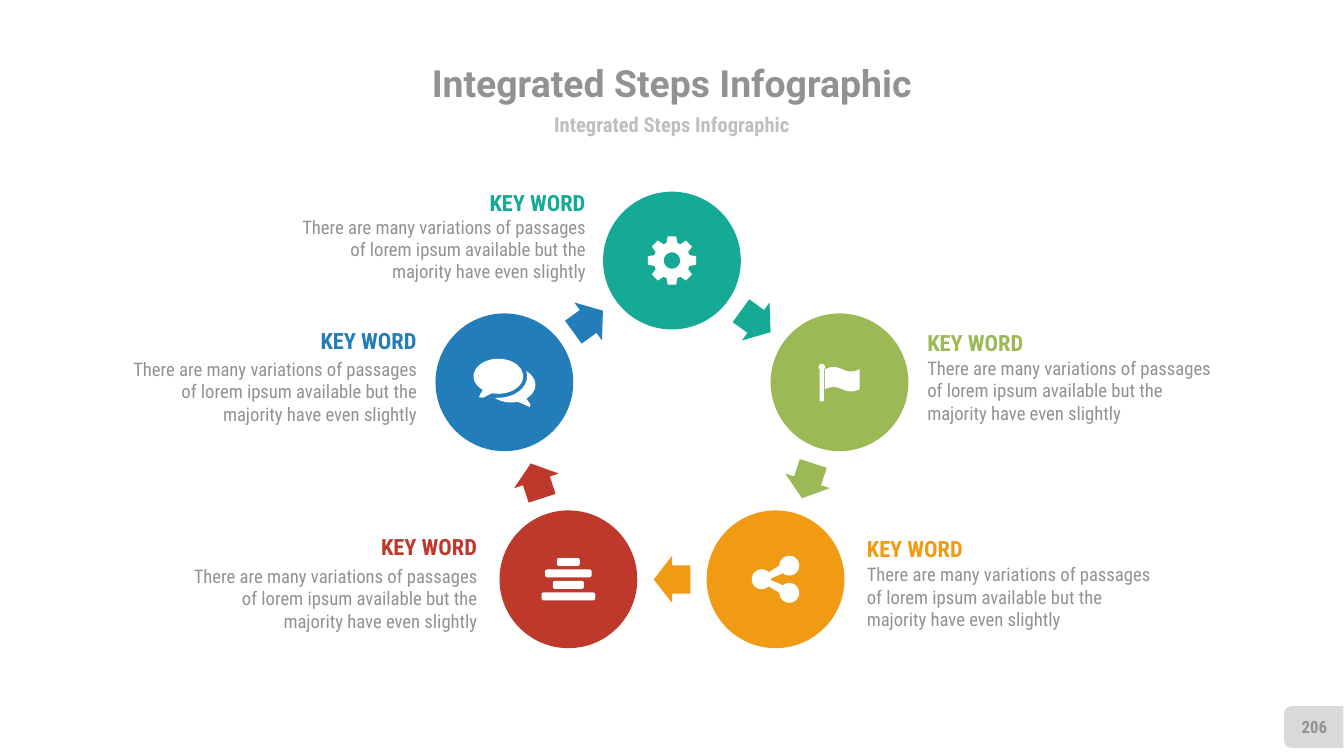
from math import cos, pi, radians, sin

from pptx import Presentation
from pptx.dml.color import RGBColor
from pptx.enum.shapes import MSO_SHAPE as Shape
from pptx.enum.text import MSO_ANCHOR as Anchor, PP_ALIGN as Align
from pptx.util import Pt

GREEN = RGBColor(0x9B, 0xB9, 0x55)
TEAL = RGBColor(0x15, 0xAA, 0x96)
ORANGE = RGBColor(0xF1, 0x9B, 0x14)
RED = RGBColor(0xBE, 0x38, 0x2C)
BLUE = RGBColor(0x23, 0x7D, 0xB9)
WHITE = RGBColor(0xFF, 0xFF, 0xFF)
GREY = RGBColor(0x92, 0x92, 0x92)
LIGHT_GREY = RGBColor(0xBF, 0xBF, 0xBF)
TAB_GREY = RGBColor(0xD9, 0xD9, 0xD9)

CONDENSED = "Roboto Condensed"
TITLE = "Integrated Steps Infographic"
PAGE_NUMBER = "206"
KEY_WORD = "KEY WORD"
BODY = ("There are many variations of passages of lorem ipsum available "
        "but the majority have even slightly")

# Clockwise from the top: colour, icon, text alignment, text edge, heading top, body top
STEPS = [
    (TEAL, "gear", Align.RIGHT, 313.7, 101.5, 115.4),
    (GREEN, "flag", Align.LEFT, 496.8, 176.4, 191),
    (ORANGE, "share", Align.LEFT, 464.4, 286.6, 301.7),
    (RED, "bars", Align.RIGHT, 255.6, 285.8, 302.4),
    (BLUE, "chat", Align.RIGHT, 223.2, 175.5, 191.5),
]

CENTER_X, CENTER_Y, RING_RADIUS = 360, 234, 94.4
CIRCLE = 73.8
ARROW_WIDTH, ARROW_HEIGHT = 19.6, 25.2
HEADING_WIDTH, HEADING_HEIGHT = 66.2, 14.4
BODY_WIDTH, BODY_HEIGHT = 153.4, 36


def arc(x, y, radius_x, radius_y, start, end, steps=36):
    """Points on an ellipse; angles in degrees, clockwise from the right."""
    angles = [radians(start + (end - start) * i / steps) for i in range(steps + 1)]
    return [(x + radius_x * cos(a), y + radius_y * sin(a)) for a in angles]


def gear():
    teeth = []
    for middle in range(0, 360, 45):
        for offset, radius in ((-17, 9.8), (-10, 13.1), (10, 13.1), (17, 9.8)):
            angle = radians(middle + offset)
            teeth.append((radius * cos(angle), radius * sin(angle)))
    return [teeth, arc(0, 0, 4.4, 4.4, 360, 0)]


def flag():
    pole = arc(-9.5, -8.2, 1.7, 1.7, 130, 410) + [(-8.4, 10.2), (-10.6, 10.2)]
    xs = [-7.9 + 18.7 * i / 24 for i in range(25)]
    wave = [1.2 * sin(2 * pi * i / 24) for i in range(25)]
    top = [(x, -7 - y) for x, y in zip(xs, wave)]
    bottom = [(x, 3.7 - y) for x, y in zip(xs, wave)]
    return [pole, top + bottom[::-1]]


def share():
    return [arc(-7.4, 0, 5.3, 5.3, 45, 315)
            + arc(7.4, -7.3, 5.3, 5.3, 180, 490)
            + [(-2.5, -0.4), (-2.5, 0.4)]
            + arc(7.4, 7.3, 5.3, 5.3, 230, 540)]


def bars():
    contours = []
    for row, width in enumerate((12.2, 24.9, 16.6, 28.8)):
        y, corner = -9.3 + 6.15 * row, 1.1
        dx, dy = width / 2 - corner, 2.1 - corner
        corners = [(dx, dy), (-dx, dy), (-dx, -dy), (dx, -dy)]
        contours.append([point for i, (cx, cy) in enumerate(corners)
                         for point in arc(cx, y + cy, corner, corner,
                                          90 * i, 90 * i + 90, 6)])
    return contours


def chat():
    front = arc(-3.2, -3.2, 13.3, 9.4, 129, 465) + [(-11.5, 8.3), (-13.7, 8)]
    back = (arc(3.6, 1.4, 13, 9.4, -53, 51)
            + [(14, 11.9), (13.7, 13.3)]
            + arc(3.6, 1.4, 13, 9.4, 74, 132)
            + arc(-3.2, -3.2, 15.4, 11.5, 90, -15))
    return [front, back]


ICONS = {"gear": gear, "flag": flag, "share": share, "bars": bars, "chat": chat}


def paint(shape, color):
    shape.shadow.inherit = False
    shape.fill.solid()
    shape.fill.fore_color.rgb = color
    shape.line.fill.background()


def add_centered(slide, kind, x, y, width, height, color, rotation=0):
    """Add a preset shape around its middle point."""
    shape = slide.shapes.add_shape(kind, Pt(x - width / 2), Pt(y - height / 2),
                                   Pt(width), Pt(height))
    shape.rotation = rotation
    paint(shape, color)
    return shape


def add_icon(slide, contours, x, y):
    """Draw closed outlines, given in points around (x, y), as one white shape."""
    contours = [[(px * 100, py * 100) for px, py in contour] for contour in contours]
    builder = slide.shapes.build_freeform(*contours[0][0], scale=Pt(1) / 100)
    for i, contour in enumerate(contours):
        if i:
            builder.move_to(*contour[0])
        builder.add_line_segments(contour[1:], close=True)
    paint(builder.convert_to_shape(Pt(x), Pt(y)), WHITE)


def add_text(slide, text, left, top, width, height, size, color,
             align=Align.CENTER, bold=True, wrap=False, font=CONDENSED):
    box = slide.shapes.add_textbox(Pt(left), Pt(top), Pt(width), Pt(height))
    frame = box.text_frame
    frame.text = text
    frame.word_wrap = wrap
    frame.vertical_anchor = Anchor.MIDDLE
    frame.margin_left = frame.margin_right = frame.margin_top = frame.margin_bottom = 0
    paragraph = frame.paragraphs[0]
    paragraph.alignment = align
    run_font = paragraph.runs[0].font
    run_font.name, run_font.size, run_font.bold = font, Pt(size), bold
    run_font.color.rgb = color


def ring_point(step):
    angle = 2 * pi * step / len(STEPS)
    return CENTER_X + RING_RADIUS * sin(angle), CENTER_Y - RING_RADIUS * cos(angle)


def main():
    presentation = Presentation()
    presentation.slide_width, presentation.slide_height = Pt(720), Pt(405)
    slide = presentation.slides.add_slide(presentation.slide_layouts[6])

    tab = add_centered(slide, Shape.ROUND_2_SAME_RECTANGLE, 703.8, 389.5,
                       22.3, 31.7, TAB_GREY, 270)
    tab.adjustments[0] = 0.17
    add_text(slide, TITLE, 138, 30.2, 444, 28.1, 20, GREY, font="Roboto")
    add_text(slide, TITLE, 198, 58.5, 324, 15.8, 11, LIGHT_GREY)
    add_text(slide, PAGE_NUMBER, 689, 378.7, 30.2, 21.6, 9, GREY)

    for step, (color, icon, align, edge, heading_top, body_top) in enumerate(STEPS):
        x, y = ring_point(step)
        next_x, next_y = ring_point(step + 1)
        add_centered(slide, Shape.OVAL, x, y, CIRCLE, CIRCLE, color)
        arrow = add_centered(slide, Shape.RIGHT_ARROW, (x + next_x) / 2,
                             (y + next_y) / 2, ARROW_WIDTH, ARROW_HEIGHT,
                             color, 36 + 72 * step)
        arrow.adjustments[0] = 0.6
        add_icon(slide, ICONS[icon](), x, y)

        shift = 1 if align == Align.RIGHT else 0
        add_text(slide, KEY_WORD, edge - shift * HEADING_WIDTH, heading_top,
                 HEADING_WIDTH, HEADING_HEIGHT, 12, color, align)
        add_text(slide, BODY, edge - shift * BODY_WIDTH, body_top,
                 BODY_WIDTH, BODY_HEIGHT, 10, GREY, align, bold=False, wrap=True)

    presentation.save("out.pptx")


if __name__ == "__main__":
    main()
